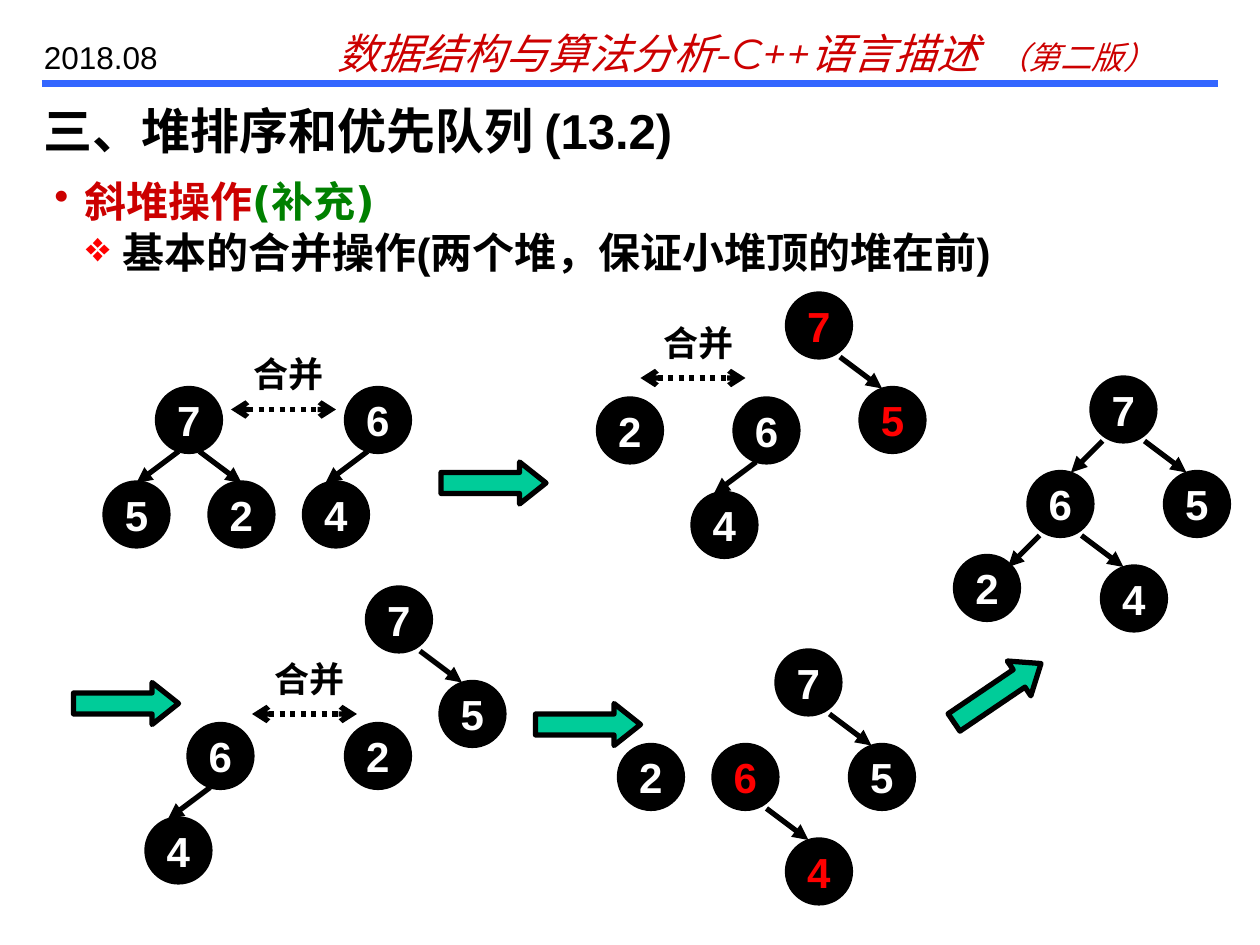
"""Build the slide that walks through a skew heap merge."""
from dataclasses import dataclass
from typing import NamedTuple, Optional

import lxml.etree
import pptx
import pptx.dml.color
import pptx.enum.dml
import pptx.enum.lang
import pptx.enum.shapes
import pptx.enum.text
import pptx.oxml.ns
import pptx.util

Pt = pptx.util.Pt
RGB = pptx.dml.color.RGBColor
ALIGN = pptx.enum.text.PP_ALIGN
ANCHOR = pptx.enum.text.MSO_ANCHOR
AUTO_SIZE = pptx.enum.text.MSO_AUTO_SIZE
CHINESE = pptx.enum.lang.MSO_LANGUAGE_ID.SIMPLIFIED_CHINESE


@dataclass(frozen=True)
class Theme:
    ink: RGB = RGB(0, 0, 0)
    paper: RGB = RGB(0xFF, 0xFF, 0xFF)
    rule: RGB = RGB(0x33, 0x66, 0xFF)
    crimson: RGB = RGB(0xCC, 0, 0)
    red: RGB = RGB(0xFF, 0, 0)
    green: RGB = RGB(0, 0x80, 0)
    step: RGB = RGB(0, 0xCC, 0x99)
    body: str = "Arial"
    topic: str = "DejaVu Sans"
    course: str = "Montserrat"
    title_size: int = 28
    main_size: int = 24
    label_size: int = 20
    small_size: int = 18
    stroke: int = 3
    rule_stroke: int = 4


THEME = Theme()


class Span(NamedTuple):
    text: str
    size: int
    color: RGB = THEME.ink
    font: str = THEME.body
    bold: bool = False
    italic: bool = False


class Bullet(NamedTuple):
    char: str
    color: RGB
    indent: int


class Caption(NamedTuple):
    left: int
    top: int
    width: int
    height: int
    spans: tuple
    bullet: Optional[Bullet] = None
    align: ALIGN = ALIGN.LEFT


class Branch(NamedTuple):
    exit: int
    run: int


class Node(NamedTuple):
    key: str
    left: int
    top: int
    branches: tuple = ()
    color: RGB = THEME.paper


class Merge(NamedTuple):
    left: int
    top: int


class Step(NamedTuple):
    left: int
    top: int
    rotation: float = 0


NODE_SIZE, BRANCH_DROP, BRANCH_TOP = 36, 18, 36
MERGE_SPAN = 60
LEFT, RIGHT = Branch(12, -24), Branch(30, 24)
INNER_RIGHT, STEEP_LEFT = Branch(24, 24), Branch(6, -18)

CAPTIONS = (
    Caption(186, 12, 504, 36, (
        Span("数据结构与算法分析-C++语言描述  ", THEME.main_size, THEME.crimson, THEME.course, italic=True),
        Span("（第二版）", THEME.small_size, THEME.crimson, THEME.course, italic=True))),
    Caption(18, 18, 102, 29, (Span("2018.08", THEME.small_size),)),
    Caption(18, 54, 702, 36, (Span("三、堆排序和优先队列 (13.2)", THEME.title_size, bold=True),)),
    Caption(24, 97, 678, 36, (
        Span("斜堆操作", THEME.main_size, THEME.crimson, THEME.topic, True),
        Span("(补充)", THEME.main_size, THEME.green, THEME.topic, True)),
        Bullet("•", THEME.crimson, 17)),
    Caption(42, 126, 570, 36, (
        Span("基本的合并操作(两个堆，保证小堆顶的堆在前)", THEME.main_size, bold=True),),
        Bullet("❖", THEME.red, 21)),
)

NODES = (
    Node("7", 90, 222, (LEFT, INNER_RIGHT)), Node("5", 60, 276), Node("2", 120, 276),
    Node("6", 198, 222, (LEFT,)), Node("4", 174, 276),
    Node("2", 342, 228),
    Node("7", 450, 168, (RIGHT,), THEME.red), Node("5", 492, 222, (), THEME.red),
    Node("6", 420, 228, (LEFT,)), Node("4", 396, 282),
    Node("6", 108, 414, (LEFT,)), Node("4", 84, 468),
    Node("2", 198, 414),
    Node("7", 210, 336, (RIGHT,)), Node("5", 252, 390),
    Node("2", 354, 426),
    Node("6", 408, 426, (RIGHT,), THEME.red), Node("4", 450, 480, (), THEME.red),
    Node("7", 444, 372, (RIGHT,)), Node("5", 486, 426),
    Node("7", 624, 216, (STEEP_LEFT, RIGHT)), Node("5", 666, 270),
    Node("6", 588, 270, (STEEP_LEFT, RIGHT)), Node("2", 546, 318), Node("4", 630, 324),
)
MERGES = (Merge(132, 234), Merge(366, 216), Merge(144, 408))
STEPS = (Step(252, 264), Step(42, 390), Step(306, 402), Step(540, 384, 325.9))


def assign(target, values: dict) -> None:
    for name, value in values.items():
        setattr(target, name, value)


def add_element(parent, tag: str, **attributes: str):
    return lxml.etree.SubElement(parent, pptx.oxml.ns.qn(tag), attributes)


def write_span(paragraph, span: Span) -> None:
    run = paragraph.add_run()
    run.text = span.text
    assign(run.font, {"name": span.font, "size": Pt(span.size), "bold": span.bold,
                      "italic": span.italic, "language_id": CHINESE})
    run.font.color.rgb = span.color


def draw_caption(slide, caption: Caption) -> None:
    box = slide.shapes.add_textbox(*map(Pt, caption[:4]))
    assign(box.text_frame, {"word_wrap": True, "auto_size": AUTO_SIZE.SHAPE_TO_FIT_TEXT})
    paragraph = box.text_frame.paragraphs[0]
    paragraph.alignment = caption.align
    if caption.bullet:
        char, color, indent = caption.bullet
        properties = paragraph._p.get_or_add_pPr()
        properties.set("marL", str(Pt(indent)))
        properties.set("indent", str(-Pt(indent)))
        add_element(add_element(properties, "a:buClr"), "a:srgbClr", val=str(color))
        add_element(properties, "a:buChar", char=char)
    for span in caption.spans:
        write_span(paragraph, span)


def draw_line(slide, start: tuple, end: tuple, color: RGB = THEME.ink,
              width: int = THEME.stroke, head: str = "none", tail: str = "none",
              dash=None) -> None:
    line = slide.shapes.add_connector(
        pptx.enum.shapes.MSO_CONNECTOR.STRAIGHT, *map(Pt, start + end))
    line.line.color.rgb = color
    assign(line.line, {"width": Pt(width), "dash_style": dash})
    outline = line.line._get_or_add_ln()
    add_element(outline, "a:headEnd", type=head)
    add_element(outline, "a:tailEnd", type=tail)
    add_element(line._element.spPr, "a:effectLst")


def draw_shape(slide, kind, bounds: tuple, fill: RGB):
    shape = slide.shapes.add_shape(kind, *map(Pt, bounds))
    shape.shadow.inherit = False
    shape.fill.solid()
    shape.fill.fore_color.rgb = fill
    shape.line.color.rgb = THEME.ink
    shape.line.width = Pt(THEME.stroke)
    return shape


def draw_node(slide, node: Node) -> None:
    circle = draw_shape(slide, pptx.enum.shapes.MSO_SHAPE.OVAL,
                        (node.left, node.top, NODE_SIZE, NODE_SIZE), THEME.ink)
    assign(circle.text_frame, {"word_wrap": False, "vertical_anchor": ANCHOR.MIDDLE})
    paragraph = circle.text_frame.paragraphs[0]
    paragraph.alignment = ALIGN.CENTER
    write_span(paragraph, Span(node.key, THEME.main_size, node.color, bold=True))


def draw_branches(slide, node: Node) -> None:
    for branch in node.branches:
        x, y = node.left + branch.exit, node.top + BRANCH_TOP
        draw_line(slide, (x, y), (x + branch.run, y + BRANCH_DROP), tail="triangle")


def draw_merge(slide, merge: Merge) -> None:
    draw_line(slide, merge, (merge.left + MERGE_SPAN, merge.top), head="arrow", tail="arrow",
              dash=pptx.enum.dml.MSO_LINE.ROUND_DOT)
    draw_caption(slide, Caption(merge.left, merge.top - 36, 66, 32,
                                (Span("合并", THEME.label_size, bold=True),), align=ALIGN.CENTER))


def draw_step(slide, step: Step) -> None:
    arrow = draw_shape(slide, pptx.enum.shapes.MSO_SHAPE.RIGHT_ARROW,
                       (step.left, step.top, 60, 24), THEME.step)
    arrow.adjustments[1] = 0.63
    arrow.rotation = step.rotation


def main() -> None:
    deck = pptx.Presentation()
    assign(deck, {"slide_width": Pt(720), "slide_height": Pt(540)})
    slide = deck.slides.add_slide(deck.slide_layouts[6])
    draw_line(slide, (24, 48), (696, 48), THEME.rule, THEME.rule_stroke)
    for draw, items in ((draw_caption, CAPTIONS), (draw_node, NODES), (draw_branches, NODES),
                        (draw_merge, MERGES), (draw_step, STEPS)):
        for item in items:
            draw(slide, item)
    deck.save("out.pptx")


if __name__ == "__main__":
    main()
